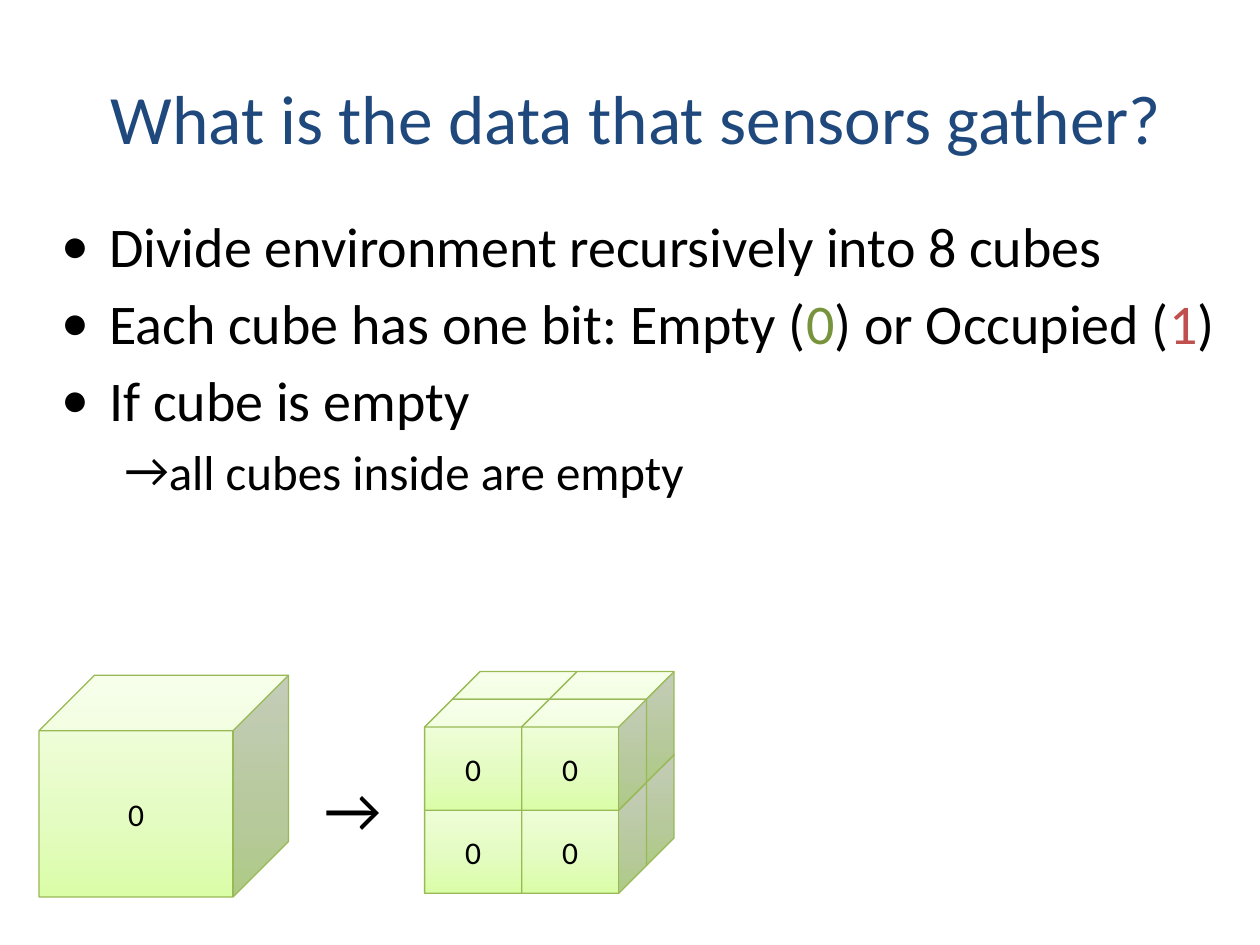
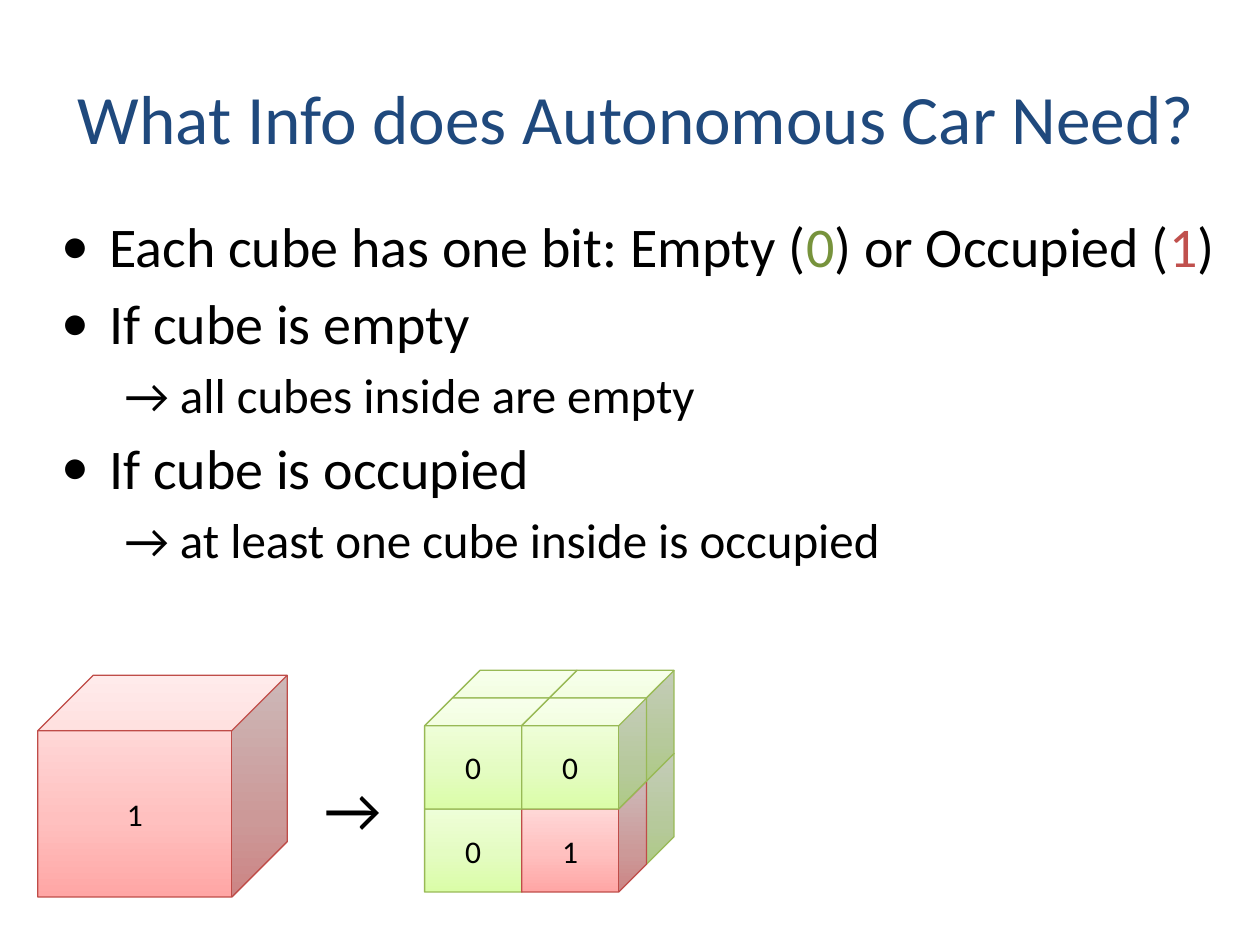
import copy

import pptx
import pptx.dml.color
import pptx.enum.shapes
import pptx.enum.text
import pptx.oxml
import pptx.oxml.ns
import pptx.util

RGB = pptx.dml.color.RGBColor
BLACK = RGB(0x00, 0x00, 0x00)
NAVY = RGB(0x1F, 0x49, 0x7D)
GREEN = RGB(0x77, 0x93, 0x3C)
RED = RGB(0xC0, 0x50, 0x4D)
FREE_EDGE = RGB(0x98, 0xB9, 0x55)
FULL_EDGE = RGB(0xBF, 0x4C, 0x48)
FREE_STOPS = [RGB(0xDA, 0xFD, 0xA7), RGB(0xE4, 0xFC, 0xC2), RGB(0xF5, 0xFF, 0xE7)]
FULL_STOPS = [RGB(0xFF, 0xA6, 0xA5), RGB(0xFF, 0xC0, 0xBF), RGB(0xFF, 0xE7, 0xE7)]
LOOKS = {"0": (FREE_STOPS, FREE_EDGE), "1": (FULL_STOPS, FULL_EDGE)}

FONT = "Calibri"
PX = 9144  # 100 px to the inch
TITLE_BOX = (30, 30, 950, 125)
BODY_BOX = (39, 163, 940, 525)
ARROW_BOX = (248, 606, 70, 71)
CUBE_SIZE = (198, 176)

# Kind of line: size, space before, left margin, indent, bullet
KINDS = {
    "point": (32, 5.6, 38, -38, "•"),
    "arrow": (28, 5, 81, -31, "→"),
    "plain": (28, 5, 50, 0, None),
}

BITS = ("point", [("Each cube has one bit: Empty (", BLACK), ("0", GREEN),
                  (") or Occupied (", BLACK), ("1", RED), (")", BLACK)])
EMPTY = ("point", [("If cube is empty", BLACK)])

# Cells are (column, row, layer), layer 1 at the back; the hidden one is left out
BACK = [(1, 1, 1), (0, 0, 1), (1, 0, 1)]
FRONT = [(0, 1, 0), (1, 1, 0), (0, 0, 0), (1, 0, 0)]


def scale(box):
    return [pptx.util.Emu(n * PX) for n in box]


def add_run(para, text, size, color):
    run = para.add_run()
    run.text = text
    run.font.name = FONT
    run.font.size = pptx.util.Pt(size)
    run.font.color.rgb = color


def add_box(slide, box, wrap=True):
    frame = slide.shapes.add_textbox(*scale(box)).text_frame
    frame.word_wrap = wrap
    return frame


def add_title(slide, box, text):
    frame = add_box(slide, box)
    frame.vertical_anchor = pptx.enum.text.MSO_ANCHOR.MIDDLE
    para = frame.paragraphs[0]
    para.alignment = pptx.enum.text.PP_ALIGN.CENTER
    add_run(para, text, 39.6, NAVY)


def set_bullet(para, left, indent, mark):
    props = para._p.get_or_add_pPr()
    props.set("marL", str(left * PX))
    props.set("indent", str(indent * PX))
    if mark:
        space = pptx.oxml.ns.nsdecls("a")
        props.append(pptx.oxml.parse_xml(f'<a:buFont {space} typeface="{FONT}"/>'))
        props.append(pptx.oxml.parse_xml(f'<a:buChar {space} char="{mark}"/>'))


def add_body(slide, box, lines):
    frame = add_box(slide, box)
    for i, (kind, runs) in enumerate(lines):
        size, space, left, indent, mark = KINDS[kind]
        para = frame.add_paragraph() if i else frame.paragraphs[0]
        set_bullet(para, left, indent, mark)
        if i:
            para.space_before = pptx.util.Pt(space)
        for text, color in runs:
            add_run(para, text, size, color)


def add_cube(shapes, box, bit, label=True):
    colors, edge = LOOKS[bit]
    cube = shapes.add_shape(pptx.enum.shapes.MSO_SHAPE.CUBE, *scale(box))
    cube.shadow.inherit = False
    cube.line.color.rgb = edge
    cube.line.width = pptx.util.Pt(0.75)
    cube.fill.gradient()
    cube.fill.gradient_angle = 90
    first = cube._element.spPr.find(".//" + pptx.oxml.ns.qn("a:gs"))
    first.addnext(copy.deepcopy(first))
    for stop, color, place in zip(cube.fill.gradient_stops, colors, (0, 0.35, 1)):
        stop.color.rgb = color
        stop.position = place
    if label:
        frame = cube.text_frame
        frame.vertical_anchor = pptx.enum.text.MSO_ANCHOR.MIDDLE
        para = frame.paragraphs[0]
        para.alignment = pptx.enum.text.PP_ALIGN.CENTER
        add_run(para, bit, 18, BLACK)


def add_split(slide, box, full):
    """Draw the cube cut in eight; cells in full are occupied."""
    left, top, wide, high = box
    wide, high = wide // 2, high // 2
    depth = high // 4
    group = slide.shapes.add_group_shape()
    for cell in BACK + FRONT:
        col, row, layer = cell
        x = left + col * (wide - depth) + layer * depth
        y = top + row * (high - depth) + (1 - layer) * depth
        bit = "1" if cell in full else "0"
        add_cube(group.shapes, (x, y, wide, high), bit, label=not layer)


def add_page(deck, title, lines, bit, whole, split, full):
    slide = deck.slides.add_slide(deck.slide_layouts[6])
    add_title(slide, TITLE_BOX, title)
    add_body(slide, BODY_BOX, lines)
    add_split(slide, (*split, *CUBE_SIZE), full)
    add_cube(slide.shapes, (*whole, *CUBE_SIZE), bit)
    arrow = add_box(slide, ARROW_BOX, wrap=False)
    add_run(arrow.paragraphs[0], "→", 36, BLACK)


def main():
    deck = pptx.Presentation()
    deck.slide_width, deck.slide_height = scale((1000, 750))
    add_page(deck, "What is the data that sensors gather?", [
        ("point", [("Divide environment recursively into 8 cubes", BLACK)]),
        BITS,
        EMPTY,
        ("arrow", [("all cubes inside are empty", BLACK)]),
    ], "0", (31, 536), (337, 533), [])
    add_page(deck, "What Info does Autonomous Car Need?", [
        BITS,
        EMPTY,
        ("plain", [("→ all cubes inside are empty", BLACK)]),
        ("point", [("If cube is occupied", BLACK)]),
        ("plain", [("→ at least one cube inside is occupied", BLACK)]),
    ], "1", (30, 536), (337, 532), [(1, 1, 0)])
    deck.save("out.pptx")


if __name__ == "__main__":
    main()
